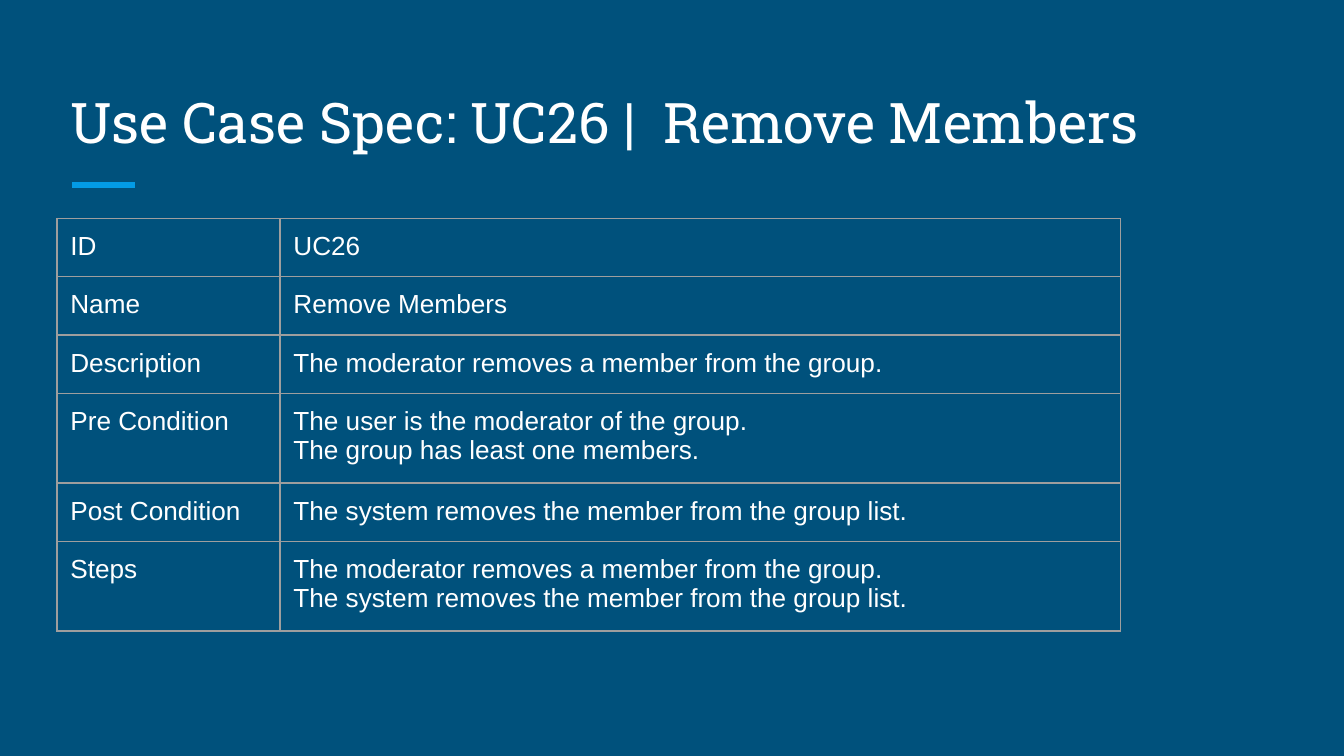
from lxml import etree
from pptx import Presentation
from pptx.dml.color import RGBColor
from pptx.enum.shapes import MSO_CONNECTOR
from pptx.enum.text import MSO_ANCHOR
from pptx.oxml.ns import qn
from pptx.util import Pt

STRAIGHT = MSO_CONNECTOR.STRAIGHT
BOTTOM = MSO_ANCHOR.BOTTOM

TITLE = "Use Case Spec: UC26 |  Remove Members"
USE_CASE = [
    ("ID", ["UC26"]),
    ("Name", ["Remove Members"]),
    ("Description", ["The moderator removes a member from the group."]),
    ("Pre Condition", ["The user is the moderator of the group.",
                       "The group has least one members."]),
    ("Post Condition", ["The system removes the member from the group list."]),
    ("Steps", ["The moderator removes a member from the group.",
               "The system removes the member from the group list."]),
]

BACKGROUND, ACCENT, BORDER, WHITE = "00517C", "039BE5", "9E9E9E", "FFFFFF"
LEFT, INSET = 30.5, 7.2
COLUMN_WIDTHS = [119.5, 450.5]
ROW_HEIGHT, EXTRA_LINE = 30.2, 15.4


def color(value):
    return RGBColor.from_string(value)


def set_insets(holder):
    holder.margin_left = holder.margin_right = Pt(INSET)
    holder.margin_top = holder.margin_bottom = Pt(INSET)


def write(frame, lines, font_name, size):
    for index, line in enumerate(lines):
        paragraph = frame.paragraphs[0] if index == 0 else frame.add_paragraph()
        run = paragraph.add_run()
        run.text = line
        run.font.name = font_name
        run.font.size = Pt(size)
        run.font.color.rgb = color(WHITE)


def add_borders(cell):
    properties = cell._tc.get_or_add_tcPr()
    for position, side in enumerate(("a:lnL", "a:lnR", "a:lnT", "a:lnB")):
        line = etree.Element(qn(side), w=str(Pt(0.75)))
        fill = etree.SubElement(line, qn("a:solidFill"))
        etree.SubElement(fill, qn("a:srgbClr"), val=BORDER)
        properties.insert(position, line)


presentation = Presentation()
presentation.slide_width, presentation.slide_height = Pt(720), Pt(405)
slide = presentation.slides.add_slide(presentation.slide_layouts[6])
slide.background.fill.solid()
slide.background.fill.fore_color.rgb = color(BACKGROUND)

accent = slide.shapes.add_connector(STRAIGHT, Pt(38.7), Pt(99), Pt(72.2), Pt(99))
accent.line.color.rgb = color(ACCENT)
accent.line.width = Pt(3)
etree.SubElement(accent._element.spPr, qn("a:effectLst"))

title = slide.shapes.add_textbox(Pt(LEFT), Pt(36), Pt(659), Pt(54)).text_frame
title.word_wrap = True
title.vertical_anchor = BOTTOM
set_insets(title)
write(title, [TITLE], "Roboto Slab", 30)

row_heights = [ROW_HEIGHT + EXTRA_LINE * (len(lines) - 1) for _, lines in USE_CASE]
table = slide.shapes.add_table(
    len(USE_CASE), len(COLUMN_WIDTHS), Pt(LEFT), Pt(117),
    Pt(sum(COLUMN_WIDTHS)), Pt(sum(row_heights))).table
table.first_row = table.horz_banding = False
for column, width in zip(table.columns, COLUMN_WIDTHS):
    column.width = Pt(width)
for row, height, (field, lines) in zip(table.rows, row_heights, USE_CASE):
    row.height = Pt(height)
    for cell, content in zip(row.cells, ([field], lines)):
        cell.fill.background()
        set_insets(cell)
        add_borders(cell)
        write(cell.text_frame, content, "Arial", 14)

presentation.save("out.pptx")
